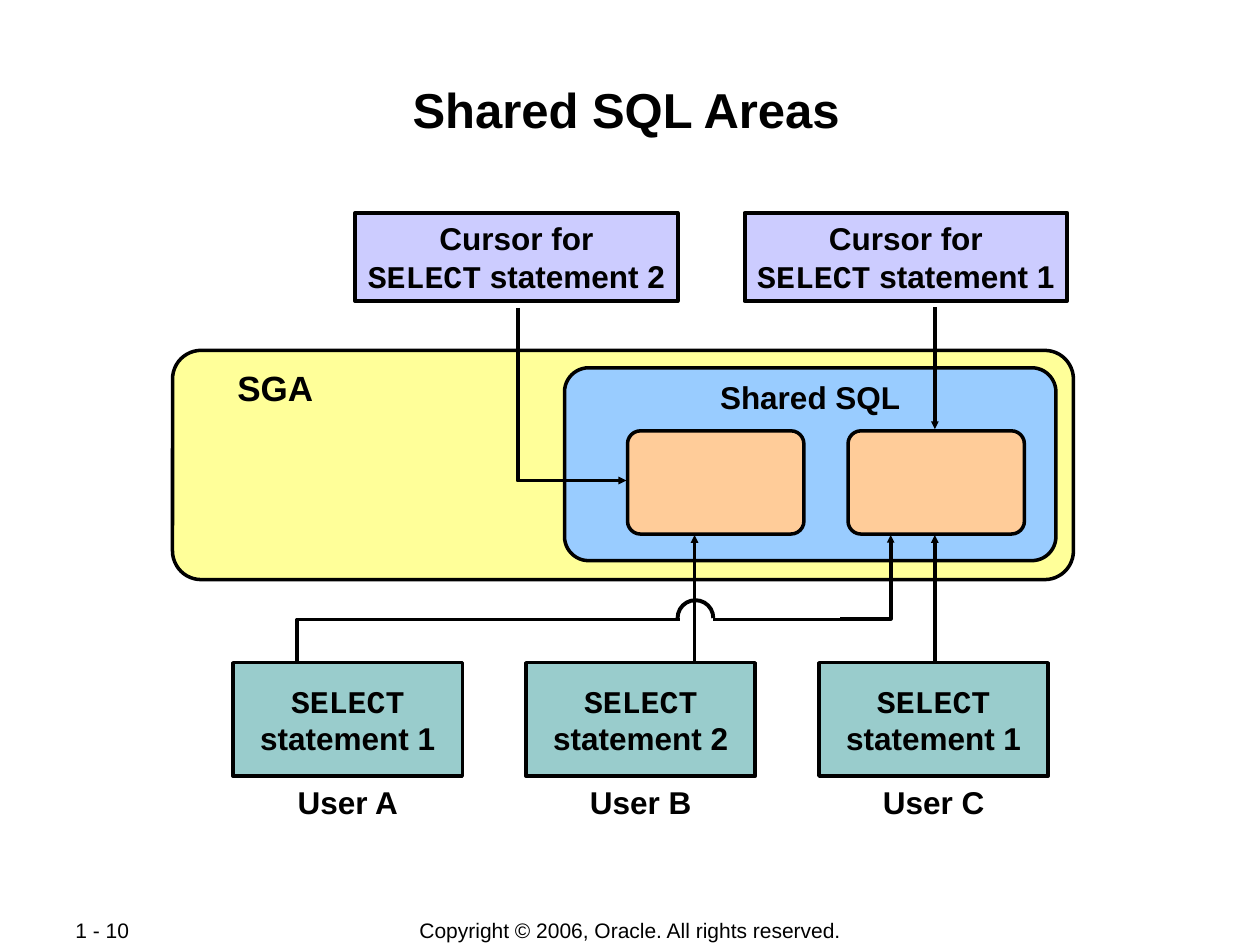
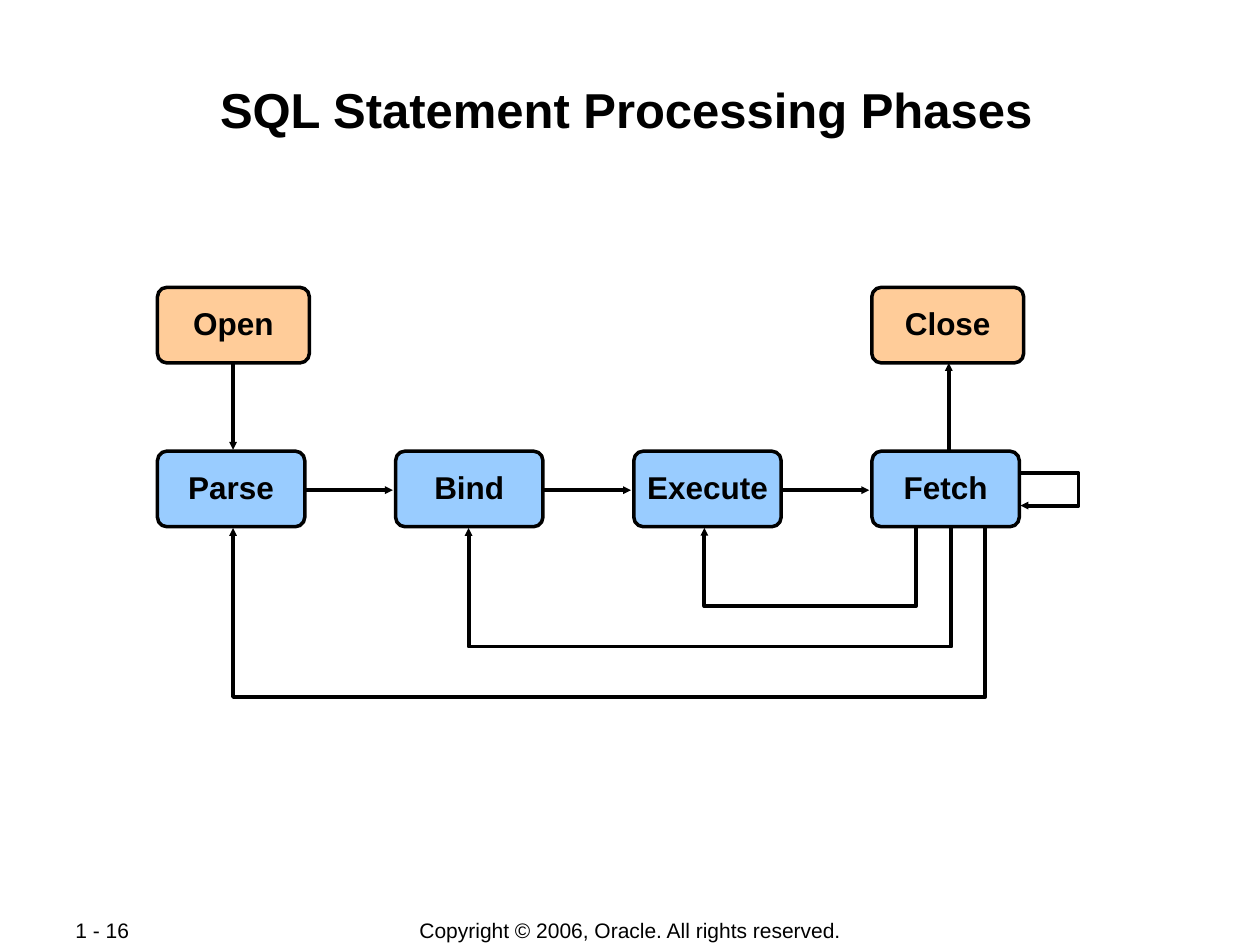
from lxml import etree
from pptx import Presentation
from pptx.dml.color import RGBColor
from pptx.enum.shapes import MSO_CONNECTOR, MSO_SHAPE
from pptx.enum.text import MSO_ANCHOR, PP_ALIGN
from pptx.oxml.ns import qn
from pptx.util import Pt

RECT, ROUND, ARC = MSO_SHAPE.RECTANGLE, MSO_SHAPE.ROUNDED_RECTANGLE, MSO_SHAPE.ARC
STRAIGHT = MSO_CONNECTOR.STRAIGHT
TOP, MIDDLE = MSO_ANCHOR.TOP, MSO_ANCHOR.MIDDLE
LEFT, CENTER = PP_ALIGN.LEFT, PP_ALIGN.CENTER

COLORS = {"ink": "000000", "sga": "FFFF99", "blue": "99CCFF", "orange": "FFCC99",
          "cursor": "CCCCFF", "user": "99CCCC"}
SANS, MONO, KEYWORD = "Arial", "Courier New", "SELECT"
FOOTER = "Copyright © 2006, Oracle. All rights reserved."
LINE_W = 2.25

# Shared SQL areas
CURSORS = [("Cursor for\nSELECT statement 2", 203), ("Cursor for\nSELECT statement 1", 425.5)]
USERS = [("SELECT\nstatement 1", "User A"), ("SELECT\nstatement 2", "User B"),
         ("SELECT\nstatement 1", "User C")]
USER_X, USER_STEP, USER_Y, USER_W, USER_H = 133.2, 167.4, 378.7, 131, 64.8
AREA_X, AREA_STEP, AREA_Y, AREA_W, AREA_H = 358.6, 126, 246.2, 100.8, 59
HOP_X, HOP_Y, HOP_SIZE = 387.2, 343, 20.4
BUS_Y = 354

# Processing phases
PHASES = ["Parse", "Bind", "Execute", "Fetch"]
PHASE_X, PHASE_STEP, PHASE_Y, PHASE_W, PHASE_H = 90, 136.1, 257.8, 84.2, 43.2
OUTER = [("Open", 90), ("Close", 498.2)]
OUTER_Y, OUTER_W = 164.2, 86.8
RETURNS = [(523.4, 346.3, 402.5), (543.6, 369.4, 267.8), (563, 398.2, 133.2)]  # from x, depth, to x


def rgb(name):
    return RGBColor.from_string(COLORS[name])


def write(sp, text, size=18, bold=True, align=CENTER, anchor=TOP, inset=(3.6, 3.6),
          wrap=False, spacing=None):
    """Fill a shape with one paragraph, setting the SQL keyword in the code font."""
    tf = sp.text_frame
    tf.word_wrap = wrap
    tf.vertical_anchor = anchor
    tf.margin_left, tf.margin_top = Pt(inset[0]), Pt(inset[1])
    tf.margin_right, tf.margin_bottom = Pt(min(inset[0], 7.2)), Pt(inset[1])
    p = tf.paragraphs[0]
    p.alignment = align
    if spacing:
        p.line_spacing = spacing
    for i, line in enumerate(text.split("\n")):
        if i:
            p.add_line_break()
        for part in line.partition(KEYWORD):
            if part:
                r = p.add_run()
                r.text = part
                r.font.name = MONO if part == KEYWORD else SANS
                r.font.size, r.font.bold = Pt(size), bold
                r.font.color.rgb = rgb("ink")


def add_label(slide, box, text, **fmt):
    write(slide.shapes.add_textbox(*map(Pt, box)), text, **fmt)


def add_box(slide, kind, box, fill, text="", line=2, **fmt):
    sp = slide.shapes.add_shape(kind, *map(Pt, box))
    sp.shadow.inherit = False
    if kind == ROUND:
        sp.adjustments[0] = 0.125
    if fill:
        sp.fill.solid()
        sp.fill.fore_color.rgb = rgb(fill)
    else:
        sp.fill.background()
    sp.line.color.rgb = rgb("ink")
    sp.line.width = Pt(line)
    if text:
        write(sp, text, **fmt)
    return sp


def add_route(slide, *points, arrow=True):
    """Draw a line through the points: a connector if straight, else an open outline."""
    pts = [(Pt(x), Pt(y)) for x, y in points]
    if len(pts) == 2:
        sp = slide.shapes.add_connector(STRAIGHT, *pts[0], *pts[1])
    else:
        builder = slide.shapes.build_freeform(*pts[0], scale=1.0)
        builder.add_line_segments(pts[1:], close=False)
        sp = builder.convert_to_shape()
        sp.fill.background()
    sp.line.color.rgb = rgb("ink")
    sp.line.width = Pt(LINE_W)
    sp_pr = sp._element.spPr
    if arrow:
        etree.SubElement(sp_pr.find(qn("a:ln")), qn("a:tailEnd"), type="triangle", w="sm", len="sm")
    etree.SubElement(sp_pr, qn("a:effectLst"))


def add_slide(prs, title, number):
    slide = prs.slides.add_slide(prs.slide_layouts[6])
    add_label(slide, (36, 524.2, 76.3, 14.4), number, size=12, bold=False, align=LEFT,
              anchor=MIDDLE, inset=(7.2, 3.6))
    add_label(slide, (198.5, 524.2, 323.3, 15.1), FOOTER, size=12, bold=False,
              anchor=MIDDLE, inset=(7.2, 3.6))
    add_label(slide, (69.8, 45, 576, 66), title, size=28, inset=(0.7, 0.7), wrap=True)
    return slide


def build_shared_areas(prs):
    slide = add_slide(prs, "Shared SQL Areas", "1 - 10")
    add_box(slide, ROUND, (98.6, 200.2, 514.8, 131), "sga", "SGA", size=20, align=LEFT,
            inset=(32.2, 4.6), wrap=True)
    add_box(slide, ROUND, (322.6, 210.2, 280.8, 110.2), "blue", "Shared SQL", spacing=0.95)
    for i in range(2):
        add_box(slide, ROUND, (AREA_X + i * AREA_STEP, AREA_Y, AREA_W, AREA_H), "orange")
    for text, x in CURSORS:
        add_box(slide, RECT, (x, 121.7, 184.3, 50.4), "cursor", text, line=LINE_W,
                inset=(7.2, 3.6))

    area_bottom = AREA_Y + AREA_H + 0.5
    second_x = AREA_X + AREA_STEP + AREA_W / 2 - 0.8
    hop_center, hop_right = HOP_X + HOP_SIZE / 2 - 0.5, HOP_X + HOP_SIZE
    add_route(slide, (295.9, 176), (295.9, 274.6), (AREA_X - 0.7, 274.6))
    add_route(slide, (second_x, 175.7), (second_x, AREA_Y - 1))
    add_route(slide, (hop_center, USER_Y), (hop_center, area_bottom))
    add_route(slide, (second_x, USER_Y), (second_x, area_bottom))
    add_route(slide, (169.9, USER_Y), (169.9, BUS_Y), (HOP_X + 1.2, BUS_Y), arrow=False)
    add_route(slide, (hop_right, BUS_Y), (485, BUS_Y), arrow=False)
    add_route(slide, (480.2, BUS_Y - 0.4), (509, BUS_Y - 0.4), (509, area_bottom))
    hop = add_box(slide, ARC, (HOP_X, HOP_Y, HOP_SIZE, HOP_SIZE), None, line=LINE_W)
    hop.adjustments[0], hop.adjustments[1] = 108.0, 0.0  # upper half circle

    for i, (statement, user) in enumerate(USERS):
        x = USER_X + i * USER_STEP
        add_box(slide, RECT, (x, USER_Y, USER_W, USER_H), "user", statement, anchor=MIDDLE)
        add_label(slide, (x, 444.2, USER_W, 28.8), user, inset=(7.2, 3.6), wrap=True)


def build_phases(prs):
    slide = add_slide(prs, "SQL Statement Processing Phases", "1 - 16")
    bottom, middle = PHASE_Y + PHASE_H, PHASE_Y + PHASE_H / 2 + 0.7
    xs = [PHASE_X + i * PHASE_STEP for i in range(len(PHASES))]
    for x, following in zip(xs, xs[1:]):
        add_route(slide, (x + PHASE_W - 4, middle), (following - 1.6, middle))
    for start, depth, end in RETURNS:
        add_route(slide, (start, bottom - 0.5), (start, depth), (end, depth), (end, bottom + 0.7))
    add_route(slide, (583.2, 270.4), (616.3, 270.4), (616.3, 288.9), (583.2, 288.9))
    add_route(slide, (133.2, 198), (133.2, PHASE_Y - 0.8))
    add_route(slide, (542.2, 260), (542.2, 207.4))

    boxes = [(text, x, OUTER_Y, OUTER_W, "orange") for text, x in OUTER]
    boxes += [(text, x, PHASE_Y, PHASE_W, "blue") for text, x in zip(PHASES, xs)]
    for text, x, y, w, fill in boxes:
        add_box(slide, ROUND, (x, y, w, PHASE_H), fill, text, anchor=MIDDLE, spacing=0.95)


def main():
    prs = Presentation()
    prs.slide_width, prs.slide_height = Pt(720), Pt(540)
    build_shared_areas(prs)
    build_phases(prs)
    prs.save("out.pptx")


if __name__ == "__main__":
    main()
